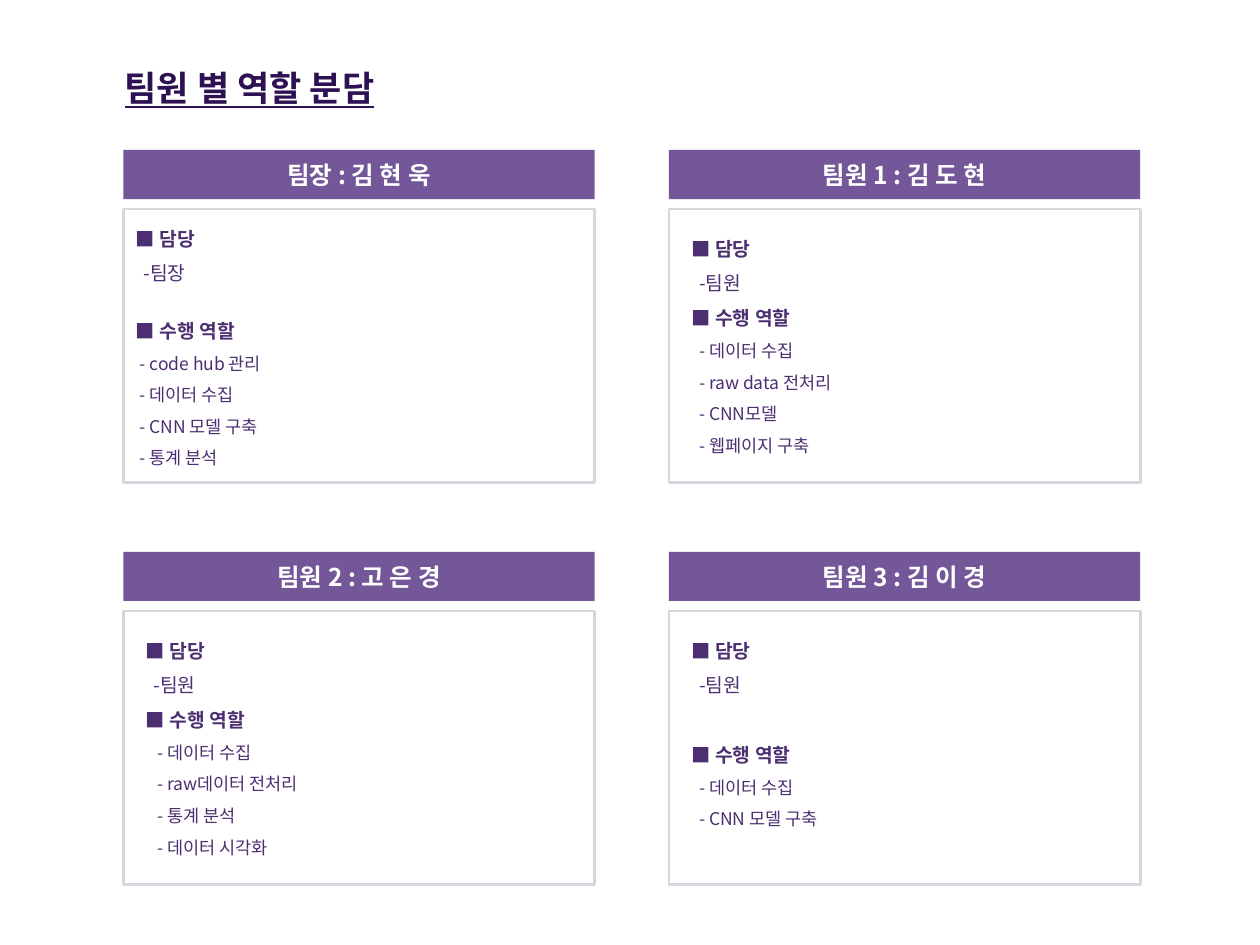
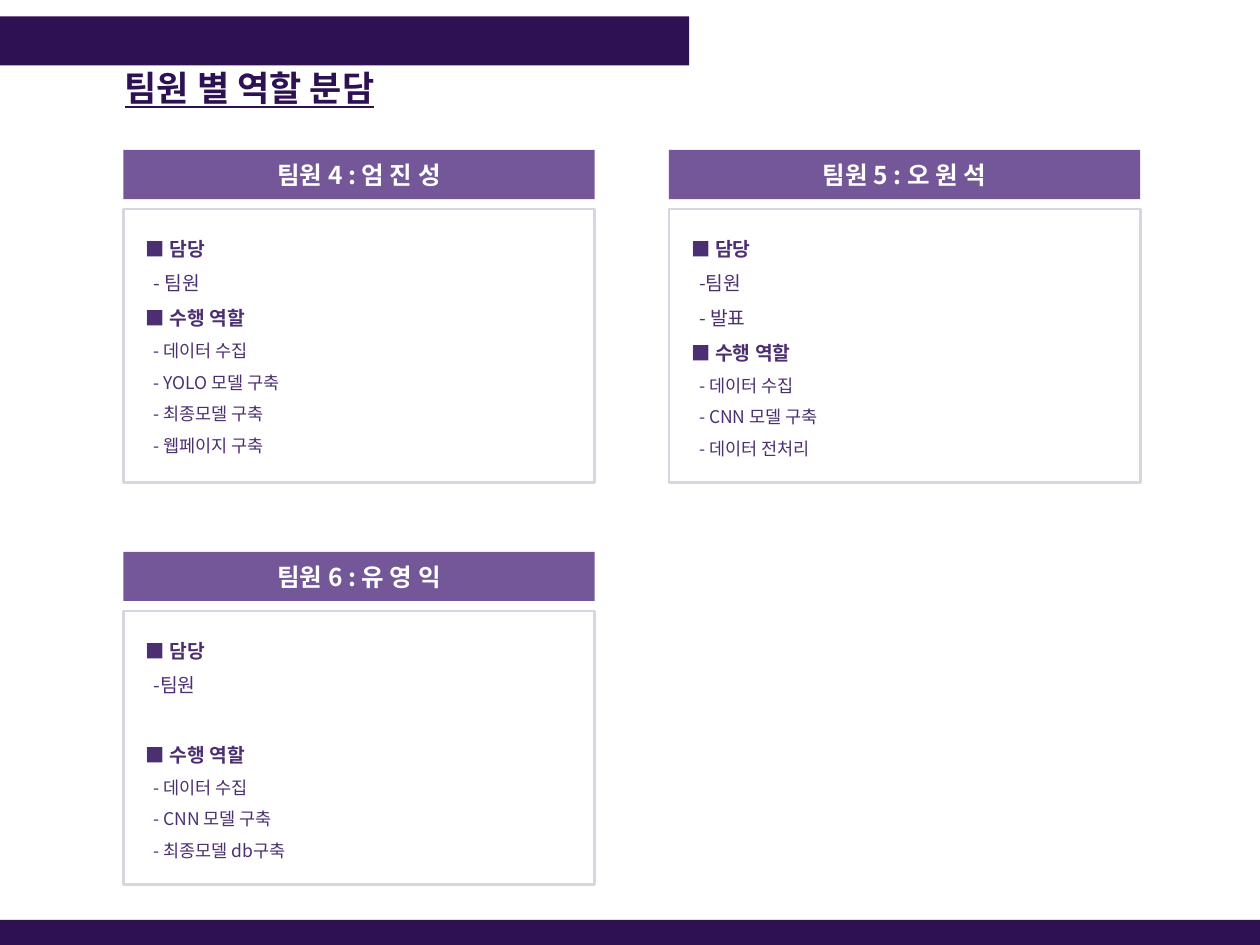
"""Build two slides that list the role of every team member in a card grid."""
from dataclasses import dataclass

import pptx
import pptx.dml.color
import pptx.enum.shapes
import pptx.enum.text
import pptx.oxml.ns
import pptx.util
from lxml import etree

ANCHOR = pptx.enum.text.MSO_ANCHOR
ALIGN = pptx.enum.text.PP_ALIGN
FIT = pptx.enum.text.MSO_AUTO_SIZE.SHAPE_TO_FIT_TEXT
RECT = pptx.enum.shapes.MSO_SHAPE.RECTANGLE


@dataclass(frozen=True)
class Theme:
    """Colours, fonts and type sizes of the deck."""
    dark: str = "2D1152"
    header: str = "735798"
    frame: str = "D6D7DE"
    text: str = "4B2F70"
    white: str = "FFFFFF"
    title_font: str = "Arial"
    font: str = "Noto Sans CJK KR"
    title_size: int = 20
    name_size: int = 14
    head_size: int = 11
    task_size: int = 10
    frame_width: float = 1.5


@dataclass(frozen=True)
class Grid:
    """Page of 100 columns by 75 rows, and the card pattern on it."""
    columns: int = 100
    rows: int = 75
    left: float = 9.8
    top: float = 11.9
    step_x: float = 43.3
    step_y: float = 31.9
    width: float = 37.4
    header_height: float = 3.9
    frame_offset: float = 4.7
    frame_height: float = 21.7
    text_width: float = 35.8
    text_height: float = 19.4


@dataclass(frozen=True)
class Box:
    """Rectangle in grid columns and rows."""
    x: float
    y: float
    w: float
    h: float


@dataclass(frozen=True)
class Card:
    """One member; inset is in grid units, gap in points, indent in inches."""
    name: str
    duties: tuple[str, ...]
    tasks: tuple[str, ...]
    inset: float = 0.8
    gap: int = 0
    indent: float = 0.06


THEME = Theme()
GRID = Grid()
TITLE = "팀원 별 역할 분담"
TITLE_BOX = Box(8.9, 4.8, 24.6, 4.4)
BANDS = (Box(0, 73, 100, 2), Box(0, 1.3, 54.7, 3.9))

SLIDES: tuple[tuple[tuple[Box, ...], tuple[Card, ...]], ...] = (
    ((), (
        Card("팀장 : 김 현 욱", ("-팀장",),
             ("- code hub 관리", "- 데이터 수집", "- CNN 모델 구축", "- 통계 분석"),
             inset=0, gap=13, indent=0.03),
        Card("팀원 1 : 김 도 현", ("-팀원",),
             ("- 데이터 수집", "- raw data 전처리", "- CNN모델", "- 웹페이지 구축")),
        Card("팀원 2 : 고 은 경", ("-팀원",),
             ("- 데이터 수집", "- raw데이터 전처리", "- 통계 분석", "- 데이터 시각화"),
             indent=0.09),
        Card("팀원 3 : 김 이 경", ("-팀원",),
             ("- 데이터 수집", "- CNN 모델 구축"), gap=20),
    )),
    (BANDS, (
        Card("팀원 4 : 엄 진 성", ("- 팀원",),
             ("- 데이터 수집", "- YOLO 모델 구축", "- 최종모델 구축", "- 웹페이지 구축")),
        Card("팀원 5 : 오 원 석", ("-팀원", "- 발표"),
             ("- 데이터 수집", "- CNN 모델 구축", "- 데이터 전처리")),
        Card("팀원 6 : 유 영 익", ("-팀원",),
             ("- 데이터 수집", "- CNN 모델 구축", "- 최종모델 db구축"), gap=20),
    )),
)


def apply(target, values: dict) -> None:
    """Set every attribute named in values."""
    for key, value in values.items():
        setattr(target, key, value)


def rgb(code: str):
    """Turn a hex code into a colour."""
    return pptx.dml.color.RGBColor.from_string(code)


def place(prs, box: Box) -> dict:
    """Convert a grid box to slide lengths."""
    col, row = prs.slide_width / GRID.columns, prs.slide_height / GRID.rows
    return {"left": round(box.x * col), "top": round(box.y * row),
            "width": round(box.w * col), "height": round(box.h * row)}


def write(p, text: str, size: int, color: str, bold: bool = True,
          font: str = THEME.font, underline: bool = False) -> None:
    """Add a formatted run to a paragraph."""
    r = p.add_run()
    r.text = text
    apply(r.font, {"name": font, "size": pptx.util.Pt(size), "bold": bold,
                   "underline": underline})
    r.font.color.rgb = rgb(color)
    ea = etree.SubElement(r.font._element, pptx.oxml.ns.qn("a:ea"))
    ea.set("typeface", THEME.font)
    latin = r.font._element.find(pptx.oxml.ns.qn("a:latin"))
    latin.addnext(ea)


def add_rect(prs, shapes, box: Box, fill: str = "", line: str = ""):
    """Draw a flat rectangle with an optional fill and outline."""
    sp = shapes.add_shape(RECT, **place(prs, box))
    sp.shadow.inherit = False
    if fill:
        sp.fill.solid()
        sp.fill.fore_color.rgb = rgb(fill)
    else:
        sp.fill.background()
    if line:
        sp.line.color.rgb = rgb(line)
        sp.line.width = pptx.util.Pt(THEME.frame_width)
    else:
        sp.line.fill.background()
    return sp


def add_title(prs, s) -> None:
    """Move and format the title placeholder, and bring it to the front."""
    sp = s.shapes.title
    apply(sp, place(prs, TITLE_BOX))
    tf = sp.text_frame
    apply(tf, {"word_wrap": False, "auto_size": FIT, "vertical_anchor": ANCHOR.TOP})
    p = tf.paragraphs[0]
    p.alignment = ALIGN.LEFT
    write(p, TITLE, THEME.title_size, THEME.dark, font=THEME.title_font, underline=True)
    s.shapes._spTree.append(sp._element)


def add_roles(prs, s, card: Card, x: float, y: float) -> None:
    """Write the duties and tasks of a card."""
    box = Box(x + card.inset, y + card.inset, GRID.text_width, GRID.text_height)
    tf = s.shapes.add_textbox(**place(prs, box)).text_frame
    apply(tf, {"word_wrap": True, "auto_size": FIT})
    head, task = THEME.head_size, THEME.task_size
    lines = [("■ 담당", head, True, 0, 0),
             *((duty, head, False, 0.06, 0) for duty in card.duties),
             ("■ 수행 역할", head, True, 0, card.gap),
             *((item, task, False, card.indent, 0) for item in card.tasks)]
    for i, (text, size, bold, indent, gap) in enumerate(lines):
        p = tf.add_paragraph() if i else tf.paragraphs[0]
        apply(p, {"line_spacing": 1.5, "space_before": pptx.util.Pt(gap)})
        p._p.get_or_add_pPr().set("marL", str(pptx.util.Inches(indent)))
        write(p, text, size, THEME.text, bold)


def add_card(prs, s, card: Card, index: int) -> None:
    """Draw the header, frame and roles of a card in its grid cell."""
    row, col = divmod(index, 2)
    x, y = GRID.left + col * GRID.step_x, GRID.top + row * GRID.step_y
    shapes = s.shapes.add_group_shape().shapes
    sp = add_rect(prs, shapes, Box(x, y, GRID.width, GRID.header_height), THEME.header)
    sp.text_frame.vertical_anchor = ANCHOR.MIDDLE
    p = sp.text_frame.paragraphs[0]
    p.alignment = ALIGN.CENTER
    write(p, card.name, THEME.name_size, THEME.white)
    y += GRID.frame_offset
    add_rect(prs, shapes, Box(x, y, GRID.width, GRID.frame_height), line=THEME.frame)
    add_roles(prs, s, card, x, y)


def main() -> None:
    """Build and save the deck."""
    prs = pptx.Presentation()
    apply(prs, {"slide_width": pptx.util.Inches(10), "slide_height": pptx.util.Inches(7.5)})
    for bands, cards in SLIDES:
        s = prs.slides.add_slide(prs.slide_layouts.get_by_name("Title Only"))
        for band in bands:
            add_rect(prs, s.shapes, band, THEME.dark)
        add_title(prs, s)
        for index, card in enumerate(cards):
            add_card(prs, s, card, index)
    prs.save("out.pptx")


main()
